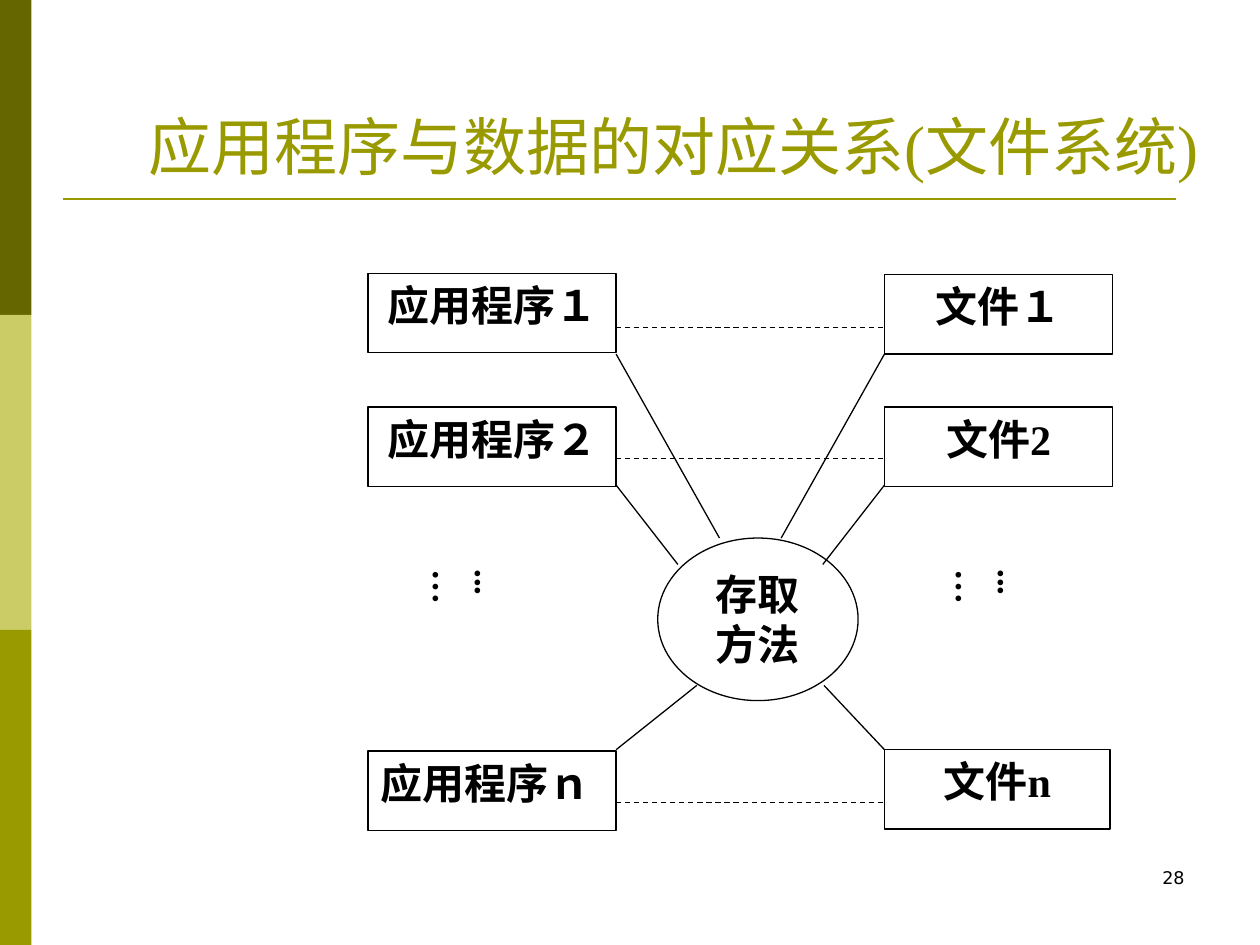
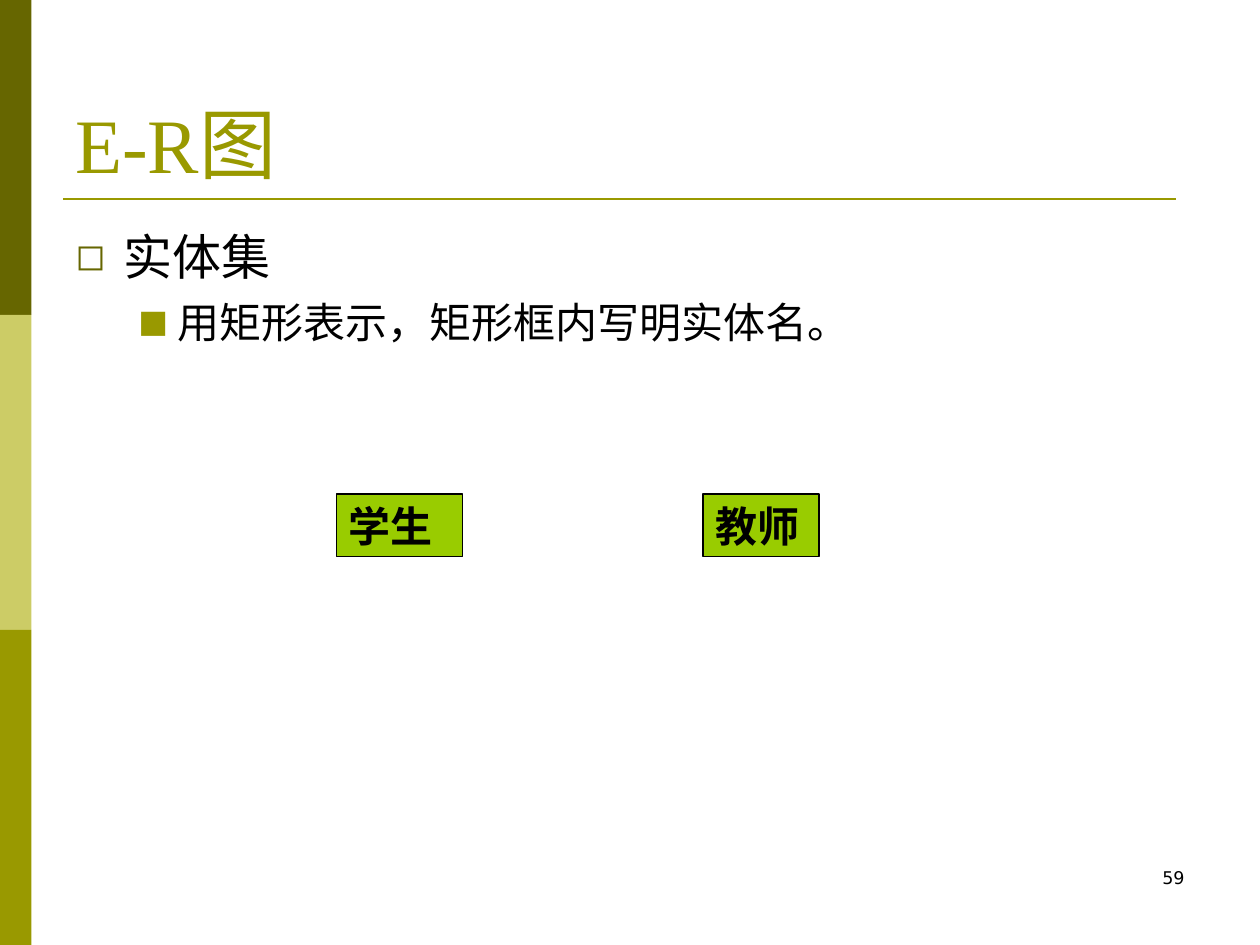
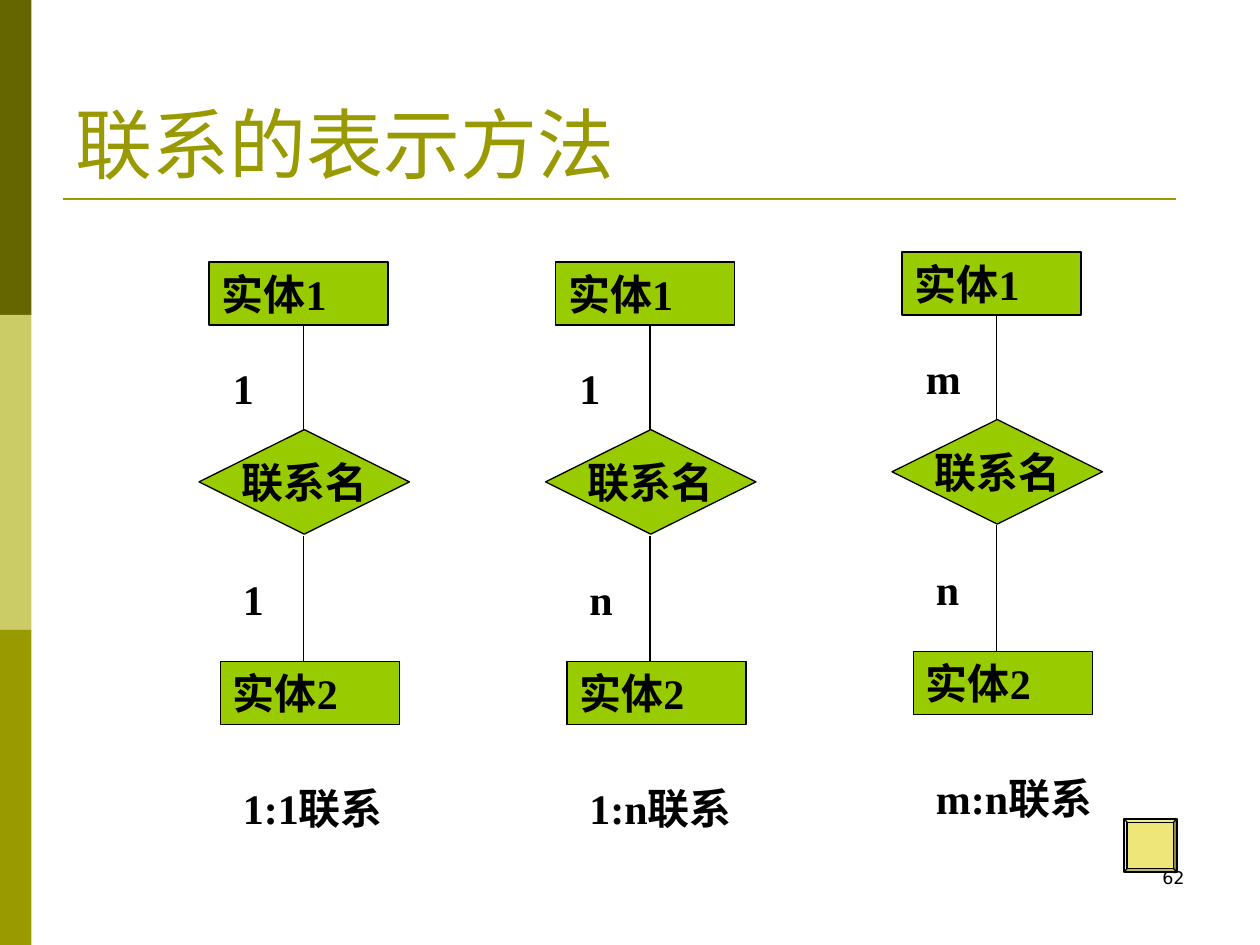
"""Builds three slides on file access and entity-relationship diagrams."""
import math

from lxml import etree
from pptx import Presentation, util as u
from pptx.dml.color import RGBColor
from pptx.enum import dml, shapes, text
from pptx.oxml.ns import qn

WIDTH, HEIGHT = 10, 7.5
SERIF, SANS = "Times New Roman", "DejaVu Sans"
BLACK, WHITE, OLIVE, DARK_OLIVE, PALE_OLIVE = "000000", "FFFFFF", "999900", "666600", "CCCC66"
GREEN, SAND, BROWN = "99CC00", "EEE678", "8E8A48"
BANDS = [DARK_OLIVE, PALE_OLIVE, OLIVE]
LEFT, CENTER, RIGHT, JUSTIFY = (text.PP_ALIGN.LEFT, text.PP_ALIGN.CENTER,
                                text.PP_ALIGN.RIGHT, text.PP_ALIGN.JUSTIFY)
RECTANGLE, DIAMOND = shapes.MSO_SHAPE.RECTANGLE, shapes.MSO_SHAPE.DIAMOND

ACCESS_TITLE = "应用程序与数据的对应关系(文件系统)"
ACCESS_ROWS = [
    {"program": "应用程序１", "file": "文件１", "tops": (2.17, 2.18), "dash": 2.6,
     "align": CENTER, "file_width": 1.81},
    {"program": "应用程序２", "file": "文件2", "tops": (3.23, 3.23), "dash": 3.64,
     "align": CENTER, "file_width": 1.81},
    {"program": "应用程序ｎ", "file": "文件n", "tops": (5.96, 5.95), "dash": 6.37,
     "align": JUSTIFY, "file_width": 1.79},
]
METHOD, DOTS = "存取方法", "...…"
PROGRAM_LEFT, PROGRAM_RIGHT, FILE_LEFT = 2.92, 4.89, 7.02
SPOKES = [(2.81, 5.71, 6.2, 4.27), (3.85, 5.38, 6.53, 4.48), (5.95, 5.53, 6.54, 5.44)]

ER_TITLE = "E-R图"
ER_POINTS = [
    {"words": "实体集", "size": 28, "bullet": "◻", "color": DARK_OLIVE,
     "margin": 0.38, "hang": 0.38, "before": 0},
    {"words": "用矩形表示，矩形框内写明实体名。", "size": 24, "bullet": "■", "color": OLIVE,
     "margin": 0.81, "hang": 0.31, "before": 6},
]
ENTITIES = [("学生", 2.67, 1), ("教师", 5.58, 0.92)]

RELATION_TITLE = "联系的表示方法"
RELATIONS = [("1", "1", 2.08), ("1", "n", 2.08), ("m", "n", 2)]
RELATION_LEFT, RELATION_STEP = 1.58, 2.75


def rgb(code):
    return RGBColor.from_string(code)


def write(frame, words, size, color=BLACK, font=SERIF, bold=False, align=LEFT,
          anchor=text.MSO_ANCHOR.TOP, wrap=True):
    frame.word_wrap = wrap
    frame.vertical_anchor = anchor
    paragraph = frame.paragraphs[0]
    paragraph.text = words
    paragraph.alignment = align
    style(paragraph, size, color, font, bold)


def style(paragraph, size, color, font, bold=False):
    paragraph.font.size = u.Pt(size)
    paragraph.font.color.rgb = rgb(color)
    paragraph.font.name = font
    paragraph.font.bold = bold


def paint(shape, fill, outline=BLACK):
    shape.shadow.inherit = False
    shape.fill.solid()
    shape.fill.fore_color.rgb = rgb(fill)
    if outline:
        shape.line.color.rgb = rgb(outline)
        shape.line.width = u.Pt(0.75)
    else:
        shape.line.fill.background()


def box(slide, at, fill, words="", kind=RECTANGLE, outline=BLACK, **look):
    shape = slide.shapes.add_shape(kind, *map(u.Inches, at))
    paint(shape, fill, outline)
    if words:
        write(shape.text_frame, words, 24, bold=True,
              **{"anchor": text.MSO_ANCHOR.TOP, **look})
    return shape


def label(slide, at, words, size=24, **look):
    frame = slide.shapes.add_textbox(*map(u.Inches, at)).text_frame
    write(frame, words, size, **look)
    return frame


def line(slide, start, end, color=BLACK, width=0.75, dashed=False):
    rule = slide.shapes.add_connector(shapes.MSO_CONNECTOR.STRAIGHT,
                                      *map(u.Inches, (*start, *end)))
    rule.line.color.rgb = rgb(color)
    rule.line.width = u.Pt(width)
    if dashed:
        rule.line.dash_style = dml.MSO_LINE.DASH
    etree.SubElement(rule.element.spPr, qn("a:effectLst"))


def add_bullet(paragraph, point):
    props = paragraph._p.get_or_add_pPr()
    props.set("marL", str(u.Inches(point["margin"])))
    props.set("indent", str(-u.Inches(point["hang"])))
    color = etree.SubElement(props, qn("a:buClr"))
    etree.SubElement(color, qn("a:srgbClr"), val=point["color"])
    etree.SubElement(props, qn("a:buSzPct"), val="75000")
    etree.SubElement(props, qn("a:buFont"), typeface=SANS)
    etree.SubElement(props, qn("a:buChar"), char=point["bullet"])


def start_slide(deck, title, number, size=44, at=(0.5, 0.3, 9, 1.25)):
    slide = deck.slides.add_slide(deck.slide_layouts[6])
    band_height = HEIGHT / len(BANDS)
    for row, color in enumerate(BANDS):
        box(slide, (0, row * band_height, WIDTH / 40, band_height), color, outline=None)
    line(slide, (0.5, 1.58), (9.33, 1.58), OLIVE, 1.5)
    label(slide, (7.17, 6.83, 2.33, 0.5), number, 10, font=SANS, align=RIGHT)
    label(slide, at, title, size, color=OLIVE, anchor=text.MSO_ANCHOR.BOTTOM)
    return slide


def access_slide(deck):
    slide = start_slide(deck, ACCESS_TITLE, "28", 36, (1.08, 0.25, 8.67, 1.25))
    for row in ACCESS_ROWS:
        program_top, file_top = row["tops"]
        box(slide, (PROGRAM_LEFT, program_top, PROGRAM_RIGHT - PROGRAM_LEFT, 0.63), WHITE,
            row["program"], align=row["align"])
        box(slide, (FILE_LEFT, file_top, row["file_width"], 0.63), WHITE,
            row["file"], align=CENTER)
        line(slide, (PROGRAM_RIGHT, row["dash"]), (FILE_LEFT, row["dash"]), dashed=True)
    box(slide, (5.22, 4.27, 1.59, 1.29), WHITE, METHOD, shapes.MSO_SHAPE.OVAL, align=CENTER)
    for corner, program_end, file_end, hub in SPOKES:
        line(slide, (PROGRAM_RIGHT, corner), (program_end, hub))
        line(slide, (FILE_LEFT, corner), (file_end, hub))
    for left in (3.57, 7.72):
        dots = label(slide, (left, 4.42, 0.53, 0.67), DOTS, 20, bold=True)
        dots.margin_left = dots.margin_right = u.Inches(0.05)
        dots.margin_top = dots.margin_bottom = u.Inches(0.1)
        dots._txBody.bodyPr.set("vert", "eaVert")


def entity_slide(deck):
    slide = start_slide(deck, ER_TITLE, "59")
    frame = slide.shapes.add_textbox(*map(u.Inches, (0.5, 1.75, 9, 4.95))).text_frame
    frame.word_wrap = True
    for index, point in enumerate(ER_POINTS):
        paragraph = frame.add_paragraph() if index else frame.paragraphs[0]
        paragraph.text = point["words"]
        paragraph.level = index
        if point["before"]:
            paragraph.space_before = u.Pt(point["before"])
        add_bullet(paragraph, point)
        style(paragraph, point["size"], BLACK, SANS)
    for name, left, width in ENTITIES:
        box(slide, (left, 3.92, width, 0.5), GREEN, name)


def return_button(slide):
    bevel = box(slide, (8.92, 6.5, 0.42, 0.42), SAND, kind=shapes.MSO_SHAPE.BEVEL)
    bevel.adjustments[0] = 0.06
    middle, bend, outer, inner = 9.11, 6.73, 0.12, 0.05
    turn = [math.pi * step / 12 for step in range(13)]
    arc = [(middle + radius * math.cos(angle), bend + radius * math.sin(angle))
           for radius, angles in ((outer, turn), (inner, turn[::-1])) for angle in angles]
    outline = arc[:13] + [(8.99, 6.64), (9.06, 6.64)] + arc[13:]
    outline += [(9.16, 6.64), (9.12, 6.64), (9.19, 6.58), (9.26, 6.64), (9.23, 6.64)]
    builder = slide.shapes.build_freeform(*outline[0], scale=u.Inches(1))
    builder.add_line_segments(outline[1:])
    paint(builder.convert_to_shape(), BROWN)


def relation_slide(deck):
    slide = start_slide(deck, RELATION_TITLE, "62")
    for column, (first, second, top) in enumerate(RELATIONS):
        left = RELATION_LEFT + column * RELATION_STEP
        axis = left + 0.83
        box(slide, (left + 0.08, top, 1.42, 0.5), GREEN, "实体1")
        box(slide, (left, top + 1.33, 1.67, 0.83), GREEN, "联系名", DIAMOND,
            align=CENTER, anchor=text.MSO_ANCHOR.MIDDLE, wrap=False)
        box(slide, (left + 0.17, top + 3.17, 1.42, 0.5), GREEN, "实体2")
        line(slide, (axis, top + 1.33), (axis, top + 0.5))
        line(slide, (axis, top + 2.17), (axis, top + 3.17))
        label(slide, (left + 0.17, top + 0.75, 0.42, 0.5), first, bold=True)
        label(slide, (left + 0.25, top + 2.42, 0.42, 0.5), second, bold=True)
        label(slide, (left + 0.25, top + 4.08, 1.5, 0.5), f"{first}:{second}联系", bold=True)
    return_button(slide)


def main():
    deck = Presentation()
    deck.slide_width, deck.slide_height = u.Inches(WIDTH), u.Inches(HEIGHT)
    access_slide(deck)
    entity_slide(deck)
    relation_slide(deck)
    deck.save("out.pptx")


if __name__ == "__main__":
    main()
